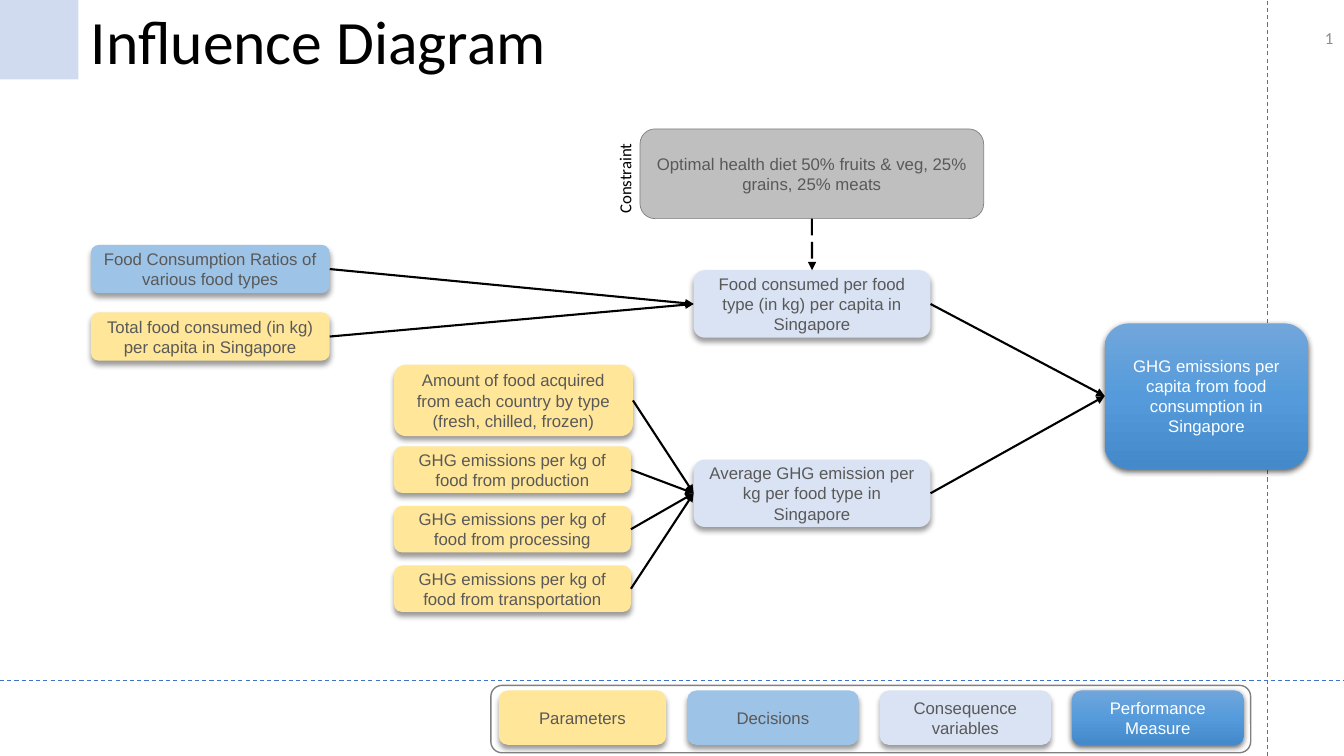
"""Build the influence diagram slide for food GHG emissions."""
from copy import deepcopy

from lxml.etree import SubElement
from pptx import Presentation
from pptx.dml.color import RGBColor
from pptx.enum.dml import MSO_LINE
from pptx.enum.shapes import MSO_CONNECTOR, MSO_SHAPE
from pptx.enum.text import MSO_ANCHOR, MSO_AUTO_SIZE, PP_ALIGN
from pptx.oxml.ns import qn
from pptx.util import Cm, Pt

SLIDE_W, SLIDE_H = 33.87, 19.05
TITLE = "Influence Diagram"
ACCENT, GREY, BLACK = "4472C4", "808080", "000000"
GRADIENT = [(0, "71A6DB"), (0.5, "559BDB"), (1, "448ACA")]
SOFT = {"alpha": 40, "blur": 4, "dist": 3}
STRONG = {"alpha": 63, "blur": 4.5, "dist": 1.5}

KINDS = {
    "parameter": {"fill": "FFE699", "text": "595959", "shadow": SOFT},
    "decision": {"fill": "9DC3E6", "text": "595959", "shadow": SOFT},
    "consequence": {"fill": "DAE3F3", "text": "595959", "shadow": SOFT},
    "measure": {"fill": GRADIENT, "text": "FFFFFF", "shadow": STRONG},
    "constraint": {"fill": "BFBFBF", "text": "595959", "line": (GREY, 0.5)},
    "frame": {"line": (GREY, 1)},
}

COL_1, COL_2, COL_3, COL_4 = 2.29, 9.93, 17.48, 27.84
NODES = {
    "measure": ("measure", "GHG emissions per capita from food consumption in Singapore",
                (COL_4, 8.15, 5.13, 3.66)),
    "amount": ("parameter", "Amount of food acquired from each country by type (fresh, chilled, frozen)",
               (COL_2, 9.19, 6.02, 1.8)),
    "average": ("consequence", "Average GHG emission per kg per food type in Singapore",
                (COL_3, 11.58, 5.97, 1.7)),
    "ratios": ("decision", "Food Consumption Ratios of various food types",
               (COL_1, 6.17, 6.02, 1.22)),
    "total": ("parameter", "Total food consumed (in kg) per capita in Singapore",
              (COL_1, 7.87, 6.02, 1.22)),
    "consumed": ("consequence", "Food consumed per food type (in kg) per capita in Singapore",
                 (COL_3, 6.81, 5.97, 1.7)),
}
STAGES = ["production", "processing", "transportation"]
STAGE_TOP, STAGE_STEP, STAGE_W, STAGE_H = 11.25, 1.5, 5.97, 1.17
DIET = "Optimal health diet 50% fruits & veg, 25% grains, 25% meats"
LEGEND = [("parameter", "Parameters", 4.22), ("decision", "Decisions", 4.32),
          ("consequence", "Consequence variables", 4.32), ("measure", "Performance Measure", 4.32)]
LEGEND_RIGHT, LEGEND_STEP, LEGEND_TOP, LEGEND_H = 16.79, 4.85, 17.4, 1.37
TOP, LEFT, BOTTOM, RIGHT = range(4)
ARROWS = [(stage, "average") for stage in STAGES] + [
    ("ratios", "consumed"), ("total", "consumed"), ("consumed", "measure"),
    ("average", "measure"), ("amount", "average")]


def rgb(value):
    return RGBColor.from_string(value)


def write(sp, text, color, font="Arial", size=12, align=PP_ALIGN.CENTER, **frame):
    tf = sp.text_frame
    settings = {"word_wrap": True, "vertical_anchor": MSO_ANCHOR.MIDDLE, **frame}
    for name, value in settings.items():
        setattr(tf, name, value)
    p = tf.paragraphs[0]
    p.alignment = align
    r = p.add_run()
    r.text = text
    for name, value in {"name": font, "size": Pt(size)}.items():
        setattr(r.font, name, value)
    r.font.color.rgb = rgb(color)
    return p, r


def paint(sp, fill=None, line=None, shadow=None):
    sp.shadow.inherit = False
    if fill is None:
        sp.fill.background()
    elif isinstance(fill, str):
        sp.fill.solid()
        sp.fill.fore_color.rgb = rgb(fill)
    else:
        sp.fill.gradient()
        sp.fill.gradient_angle = 270
        stops = sp._element.spPr.find(".//" + qn("a:gsLst"))
        stops.append(deepcopy(stops[0]))
        for stop, (position, color) in zip(sp.fill.gradient_stops, fill):
            stop.position = position
            stop.color.rgb = rgb(color)
    if line:
        sp.line.color.rgb = rgb(line[0])
        sp.line.width = Pt(line[1])
    else:
        sp.line.fill.background()
    if shadow:
        effects = sp._element.spPr.find(qn("a:effectLst"))
        outer = SubElement(effects, qn("a:outerShdw"), blurRad=str(Pt(shadow["blur"])),
                           dist=str(Pt(shadow["dist"])), dir="5400000", rotWithShape="0")
        color = SubElement(outer, qn("a:srgbClr"), val=BLACK)
        SubElement(color, qn("a:alpha"), val=str(shadow["alpha"] * 1000))


def add_box(shapes, kind, text, box):
    style = dict(KINDS[kind])
    color = style.pop("text", BLACK)
    sp = shapes.add_shape(MSO_SHAPE.ROUNDED_RECTANGLE, *map(Cm, box))
    paint(sp, **style)
    if text:
        write(sp, text, color)
    return sp


def add_line(shapes, ends, color, width, dash=None):
    cx = shapes.add_connector(MSO_CONNECTOR.STRAIGHT, *map(Cm, ends))
    for name, value in {"width": Pt(width), "dash_style": dash}.items():
        setattr(cx.line, name, value)
    cx.line.color.rgb = rgb(color)
    SubElement(cx._element.spPr, qn("a:effectLst"))
    return cx


def add_arrow(shapes, start, end, sides=(RIGHT, LEFT), dash=None):
    cx = add_line(shapes, (0, 0, 0, 0), BLACK, 1.5, dash)
    cx.begin_connect(start, sides[0])
    cx.end_connect(end, sides[1])
    SubElement(cx.line._get_or_add_ln(), qn("a:tailEnd"), type="triangle")


def add_page_frame(s):
    sp = s.shapes.add_shape(MSO_SHAPE.RECTANGLE, 0, 0, Cm(1.98), Cm(2))
    paint(sp, ACCENT)
    SubElement(sp._element.spPr.find(".//" + qn("a:srgbClr")), qn("a:alpha"), val="25000")
    for ends in [(31.93, SLIDE_H, 31.93, 0), (0, 17.15, SLIDE_W, 17.15)]:
        add_line(s.shapes, ends, ACCENT, 0.75, MSO_LINE.DASH)

    title = s.shapes.title
    box = {"left": 2.03, "top": -0.64, "width": 12.83, "height": 2.74}
    for name, value in box.items():
        setattr(title, name, Cm(value))
    p, r = write(title, TITLE, BLACK, "Calibri", 44, PP_ALIGN.LEFT,
                 vertical_anchor=MSO_ANCHOR.BOTTOM, auto_size=MSO_AUTO_SIZE.NONE)
    p.line_spacing = 0.9

    number = s.shapes.add_textbox(*map(Cm, (31.95, 0, 1.9, 1.9)))
    p, r = write(number, "1", "8C8C8C", "Calibri", align=PP_ALIGN.RIGHT)
    r._r.tag = qn("a:fld")
    r._r.set("id", "{B6F15528-21DE-4FAA-801E-634DDDAF4B2B}")
    r._r.set("type", "slidenum")


def add_legend(s):
    shapes = s.shapes.add_group_shape().shapes
    for i, (kind, text, width) in enumerate(LEGEND):
        left = LEGEND_RIGHT + i * LEGEND_STEP - width
        add_box(shapes, kind, text, (left, LEGEND_TOP, width, LEGEND_H))
    add_box(shapes, "frame", "", (12.37, 17.27, 19.15, 1.7))


def add_constraint(s):
    shapes = s.shapes.add_group_shape().shapes
    diet = add_box(shapes, "constraint", DIET, (16.13, 3.25, 8.66, 2.26))
    label = shapes.add_textbox(*map(Cm, (14.5, 4.01, 2.49, 0.76)))
    label.rotation = 270
    write(label, "Constraint", BLACK, "Calibri", align=PP_ALIGN.LEFT,
          vertical_anchor=MSO_ANCHOR.TOP, auto_size=MSO_AUTO_SIZE.SHAPE_TO_FIT_TEXT)
    return diet


def main():
    prs = Presentation()
    prs.slide_width, prs.slide_height = Cm(SLIDE_W), Cm(SLIDE_H)
    s = prs.slides.add_slide(prs.slide_layouts[5])
    add_page_frame(s)
    add_legend(s)
    diet = add_constraint(s)
    nodes = {key: add_box(s.shapes, *node) for key, node in NODES.items()}
    for i, stage in enumerate(STAGES):
        box = (COL_2, STAGE_TOP + i * STAGE_STEP, STAGE_W, STAGE_H)
        nodes[stage] = add_box(s.shapes, "parameter", f"GHG emissions per kg of food from {stage}", box)
    for start, end in ARROWS:
        add_arrow(s.shapes, nodes[start], nodes[end])
    add_arrow(s.shapes, diet, nodes["consumed"], (BOTTOM, TOP), MSO_LINE.LONG_DASH)
    prs.save("out.pptx")


if __name__ == "__main__":
    main()
